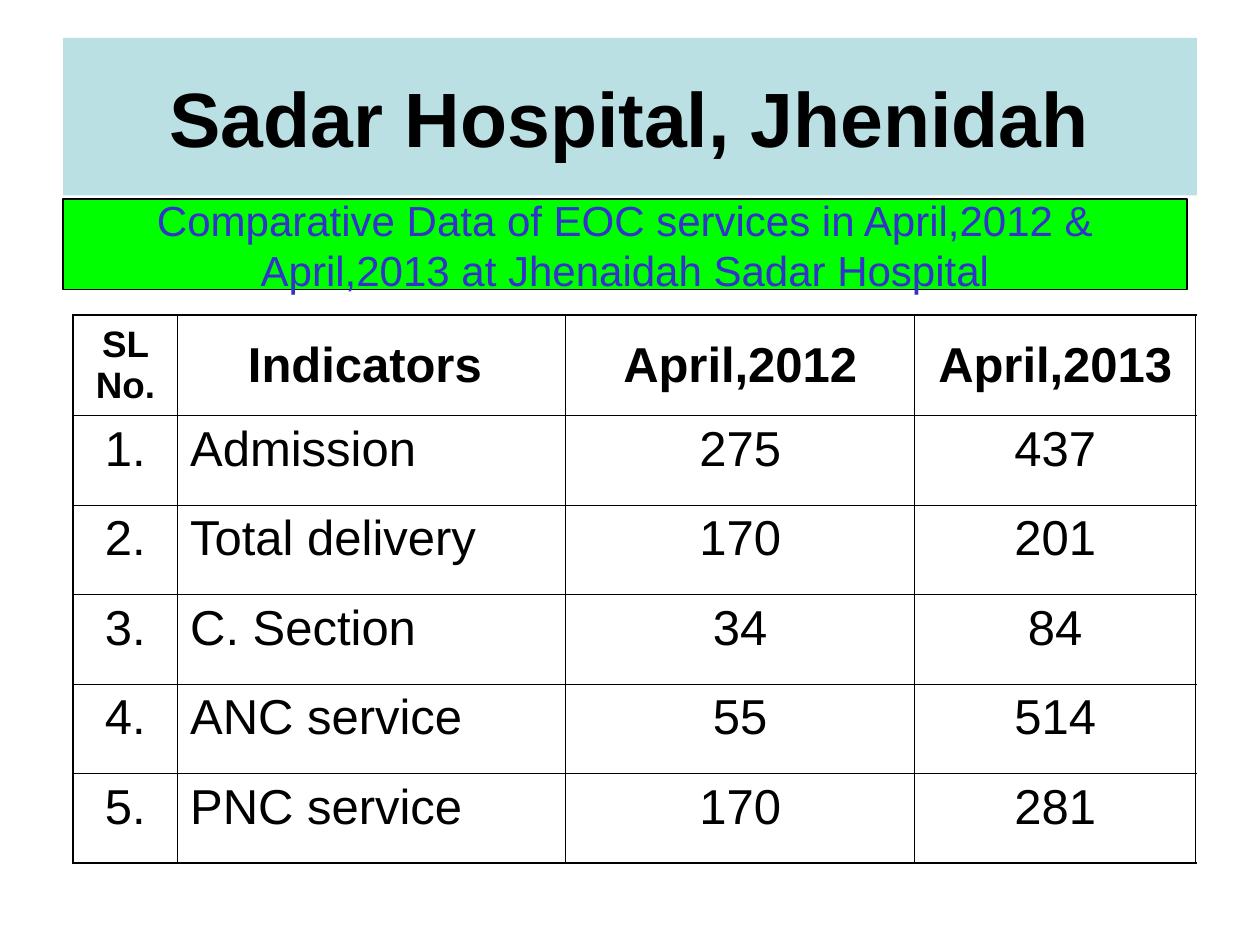
from lxml import etree
from pptx import Presentation
from pptx.dml.color import RGBColor
from pptx.enum.shapes import MSO_SHAPE
from pptx.enum.text import MSO_ANCHOR, PP_ALIGN
from pptx.oxml.ns import qn
from pptx.util import Inches, Pt

RECT = MSO_SHAPE.RECTANGLE
MIDDLE, TOP = MSO_ANCHOR.MIDDLE, MSO_ANCHOR.TOP
CENTER, LEFT = PP_ALIGN.CENTER, PP_ALIGN.LEFT
BLACK = RGBColor(0x00, 0x00, 0x00)
PALE = RGBColor(0xBB, 0xE0, 0xE3)
GREEN = RGBColor(0x00, 0xFF, 0x00)
BLUE = RGBColor(0x33, 0x33, 0xCC)
THIN, THICK = Pt(0.45), Pt(1.08)


def write(frame, text, size, color=BLACK, bold=False, align=CENTER):
    frame.text = text
    frame.word_wrap = True
    para = frame.paragraphs[0]
    para.alignment = align
    font = para.runs[0].font
    font.name, font.size, font.bold = "Arial", Pt(size), bold
    font.color.rgb = color


def add_edge(cell, side, width):
    line = etree.SubElement(cell._tc.get_or_add_tcPr(), qn("a:" + side), w=str(width))
    fill = etree.SubElement(line, qn("a:solidFill"))
    etree.SubElement(fill, qn("a:srgbClr"), val=str(BLACK))


deck = Presentation()
deck.slide_width, deck.slide_height = Inches(10), Inches(7.5)
slide = deck.slides.add_slide(deck.slide_layouts[5])

# Title
title = slide.shapes.title
title.left, title.top = Inches(0.5), Inches(0.3)
title.width, title.height = Inches(9), Inches(1.25)
title.fill.solid()
title.fill.fore_color.rgb = PALE
write(title.text_frame, "Sadar Hospital, Jhenidah", 44, bold=True)
title.text_frame.vertical_anchor = MIDDLE

# Green banner
banner = slide.shapes.add_shape(RECT, Inches(0.5), Inches(1.58), Inches(8.92), Inches(0.72))
banner.shadow.inherit = False
banner.fill.solid()
banner.fill.fore_color.rgb = GREEN
banner.line.color.rgb = BLACK
banner.line.width = Pt(0.75)
write(banner.text_frame,
      "Comparative Data of EOC services in April,2012 & April,2013 at Jhenaidah Sadar Hospital",
      24, BLUE)
banner.text_frame.vertical_anchor = MIDDLE

# Table of services
rows = [
    ("SL No.", "Indicators ", "April,2012", "April,2013"),
    ("1.", "Admission", "275", "437"),
    ("2.", "Total delivery", "170", "201"),
    ("3.", "C. Section", "34", "84"),
    ("4.", "ANC service", "55", "514"),
    ("5.", "PNC service", "170", "281"),
]
widths = [0.83, 3.08, 2.77, 2.23]
last_row, last_col = len(rows) - 1, len(widths) - 1
table = slide.shapes.add_table(len(rows), len(widths), Inches(0.58), Inches(2.5),
                               Inches(8.92), Inches(4.34)).table
for col, width in zip(table.columns, widths):
    col.width = Inches(width)

for r, row in enumerate(rows):
    head = r == 0
    table.rows[r].height = Inches(0.8 if head else 0.71)
    for c, text in enumerate(row):
        cell = table.cell(r, c)
        size = 21 if head and c == 0 else 28
        align = LEFT if c == 1 and not head else CENTER
        write(cell.text_frame, text, size, bold=head, align=align)
        cell.vertical_anchor = MIDDLE if head else TOP
        # Thick outer frame, thin inner lines
        outer = {"lnL": c == 0, "lnR": c == last_col, "lnT": head, "lnB": r == last_row}
        for side, thick in outer.items():
            add_edge(cell, side, THICK if thick else THIN)
        cell.fill.background()

deck.save("out.pptx")
